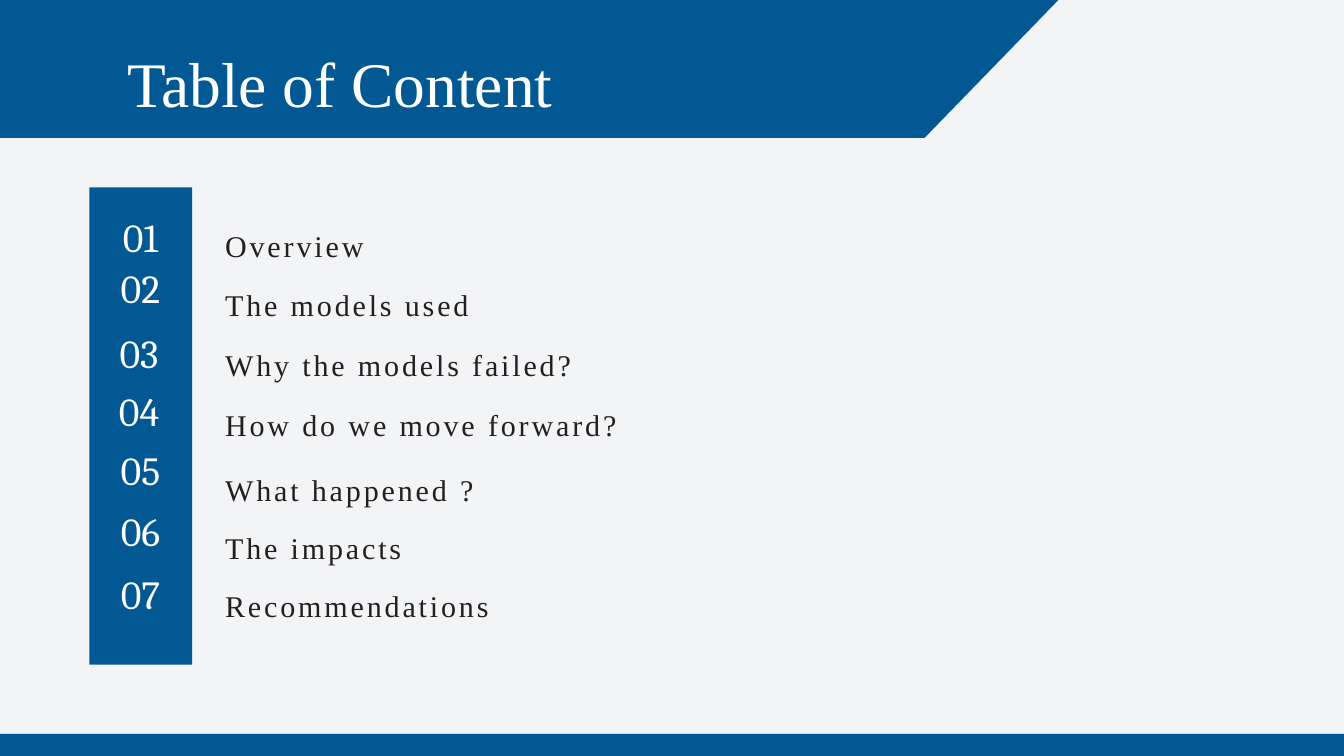
from dataclasses import dataclass

from pptx import Presentation
from pptx.dml.color import RGBColor
from pptx.enum.shapes import MSO_SHAPE
from pptx.enum.text import MSO_ANCHOR, MSO_AUTO_SIZE, PP_ALIGN
from pptx.shapes.base import BaseShape
from pptx.slide import Slide
from pptx.util import Emu, Pt

PX = 9144  # EMU per px, 100 px to the inch
WIDTH, HEIGHT = 2000, 1125
COLOURS = {"paper": "F2F4F5", "blue": "015892", "white": "FFFFFF", "ink": "231F20"}


@dataclass(frozen=True)
class TextStyle:
    font: dict
    colour: str
    line_spacing: float
    align: PP_ALIGN
    tracking: int = 0  # hundredths of a point


@dataclass(frozen=True)
class Entry:
    label: str
    number_left: int
    number_top: int
    label_top: int


TITLE = TextStyle({"name": "Times New Roman", "size": Pt(68)}, "white", 95.2, PP_ALIGN.CENTER)
NUMBER = TextStyle({"name": "Cambria", "size": Pt(42.7)}, "white", 51.3, PP_ALIGN.CENTER)
LABEL = TextStyle({"name": "Times New Roman", "size": Pt(32.2)}, "ink", 44.5, PP_ALIGN.LEFT, 310)

ENTRIES = [
    Entry("Overview", 158, 316, 331),
    Entry("The models used", 158, 393, 418),
    Entry("Why the models failed?", 156, 489, 507),
    Entry("How do we move forward?", 156, 576, 597),
    Entry("What happened ?", 158, 663, 693),
    Entry("The impacts", 158, 754, 780),
    Entry("Recommendations", 158, 847, 866),
]


def rgb(name: str) -> RGBColor:
    return RGBColor.from_string(COLOURS[name])


def px(*lengths: int) -> list[Emu]:
    return [Emu(length * PX) for length in lengths]


def paint(shape: BaseShape, colour: str) -> None:
    shape.shadow.inherit = False
    shape.fill.solid()
    shape.fill.fore_color.rgb = rgb(colour)
    shape.line.fill.background()


def add_bar(page: Slide, left: int, top: int, width: int, height: int) -> None:
    bar = page.shapes.add_shape(MSO_SHAPE.RECTANGLE, *px(left, top, width, height))
    paint(bar, "blue")


def add_banner(page: Slide) -> None:
    builder = page.shapes.build_freeform(0, 0, scale=PX)
    builder.add_line_segments([(1575, 0), (1376, 205), (0, 205)], close=True)
    paint(builder.convert_to_shape(), "blue")


def write(box: BaseShape, text: str, style: TextStyle) -> None:
    frame = box.text_frame
    frame_format = {
        "margin_left": 0, "margin_top": 0, "margin_right": 0, "margin_bottom": 0,
        "word_wrap": True, "auto_size": MSO_AUTO_SIZE.NONE, "vertical_anchor": MSO_ANCHOR.TOP,
    }
    for name, value in frame_format.items():
        setattr(frame, name, value)
    para = frame.paragraphs[0]
    para.alignment = style.align
    para.line_spacing = Pt(style.line_spacing)
    span = para.add_run()
    span.text = text
    for name, value in style.font.items():
        setattr(span.font, name, value)
    span.font.color.rgb = rgb(style.colour)
    if style.tracking:
        span.font._element.set("spc", str(style.tracking))


def add_text(page: Slide, text: str, style: TextStyle,
             left: int, top: int, width: int, height: int) -> None:
    write(page.shapes.add_textbox(*px(left, top, width, height)), text, style)


def add_title(page: Slide, text: str) -> None:
    title = page.shapes.title
    title.left, title.top, title.width, title.height = px(0, 46, 1012, 142)
    write(title, text, TITLE)
    page.shapes._spTree.append(title._element)  # in front of the banner


def main() -> None:
    deck = Presentation()
    deck.slide_width, deck.slide_height = px(WIDTH, HEIGHT)
    page = deck.slides.add_slide(deck.slide_layouts[5])
    page.background.fill.solid()
    page.background.fill.fore_color.rgb = rgb("paper")

    add_bar(page, 0, 1092, WIDTH, HEIGHT - 1092)
    add_banner(page)
    add_title(page, "Table of Content")
    add_bar(page, 133, 279, 153, 710)
    for index, entry in enumerate(ENTRIES, start=1):
        add_text(page, f"{index:02}", NUMBER, entry.number_left, entry.number_top, 102, 80)
        add_text(page, entry.label, LABEL, 335, entry.label_top, 665, 67)
    deck.save("out.pptx")


if __name__ == "__main__":
    main()
